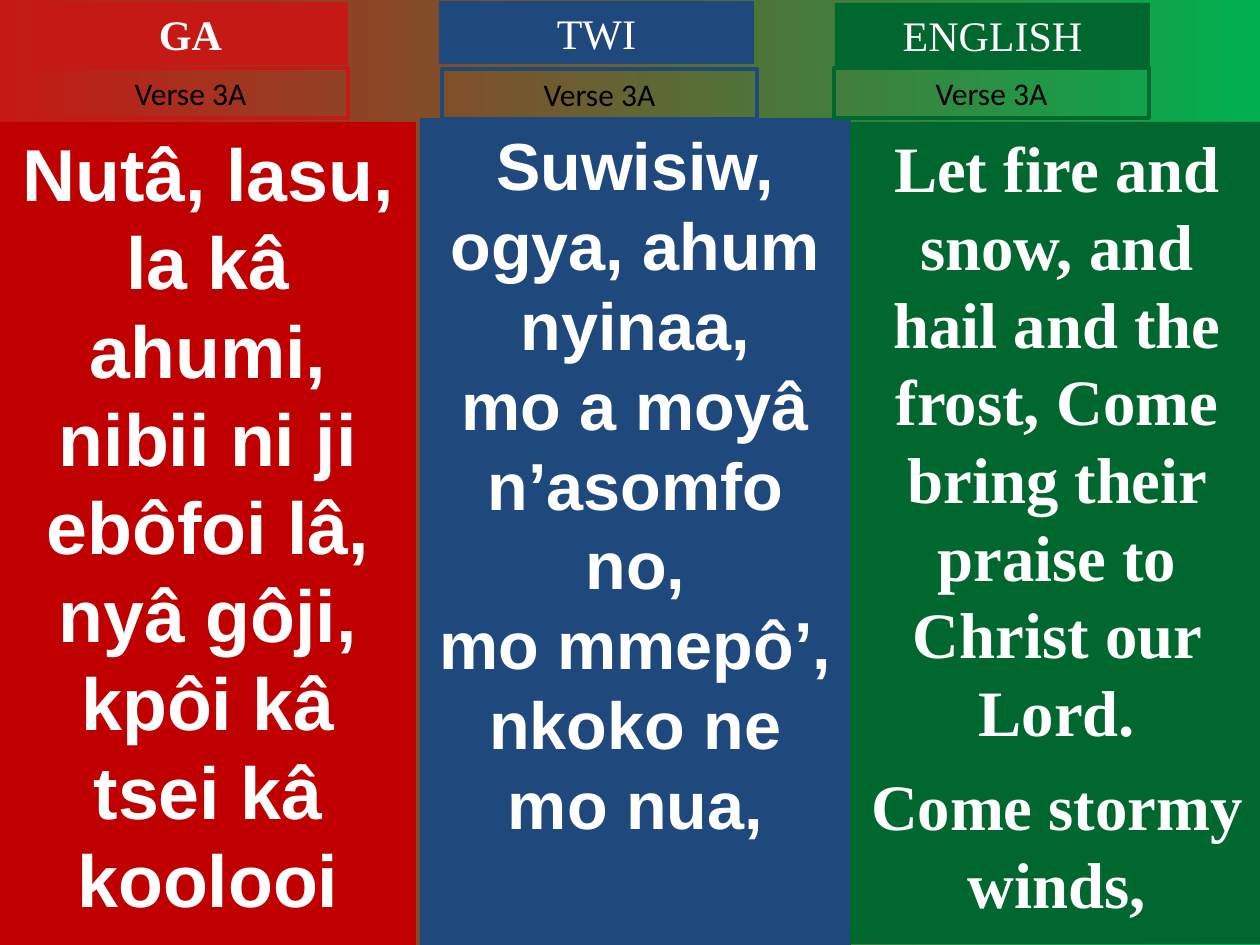
from dataclasses import dataclass

from pptx import Presentation
from pptx.dml.color import RGBColor
from pptx.enum.shapes import MSO_SHAPE
from pptx.enum.text import MSO_ANCHOR, PP_ALIGN
from pptx.util import Emu, Pt

RECTANGLE = MSO_SHAPE.RECTANGLE
TOP = MSO_ANCHOR.TOP
CENTER = PP_ALIGN.CENTER
EMU_PER_PX = 914400 / 126


def px(value):
    return Emu(round(value * EMU_PER_PX))


@dataclass(frozen=True)
class Theme:
    red: str = "C51915"
    dark_red: str = "C00000"
    blue: str = "1F497D"
    green: str = "00682F"
    bright_green: str = "00B050"
    white: str = "FFFFFF"
    black: str = "000000"
    sans: str = "Arial"
    serif: str = "Times New Roman"
    label: str = "Calibri"
    ga_size: int = 42
    twi_size: int = 38
    english_size: int = 37
    heading_size: int = 24
    label_size: int = 18
    outline: float = 2.25


class HymnSlide:
    def __init__(self, slide, theme):
        self.slide = slide
        self.theme = theme

    def background(self, start, end):
        fill = self.slide.background.fill
        fill.gradient()
        fill.gradient_angle = 0
        for stop, color, position in zip(fill.gradient_stops, (start, end), (0, 1)):
            stop.color.rgb = RGBColor.from_string(color)
            stop.position = position

    def box(self, bounds, lines, font_name, size, color,
            fill=None, outline=None, bold=False, gap=0):
        shape = self.slide.shapes.add_shape(RECTANGLE, *map(px, bounds))
        shape.shadow.inherit = False
        if fill:
            shape.fill.solid()
            shape.fill.fore_color.rgb = RGBColor.from_string(fill)
        else:
            shape.fill.background()
        if outline:
            shape.line.color.rgb = RGBColor.from_string(outline)
            shape.line.width = Pt(self.theme.outline)
        else:
            shape.line.fill.background()
        frame = shape.text_frame
        frame.word_wrap = True
        frame.vertical_anchor = TOP
        for index, line in enumerate(lines):
            paragraph = frame.paragraphs[0] if index == 0 else frame.add_paragraph()
            paragraph.text = line
            paragraph.alignment = CENTER
            paragraph.space_before = Pt(gap if index else 0)
            paragraph.font.name = font_name
            paragraph.font.size = Pt(size)
            paragraph.font.bold = bold
            paragraph.font.color.rgb = RGBColor.from_string(color)

    def verse(self, bounds, lines, font_name, size, fill, gap=0):
        self.box(bounds, lines, font_name, size, self.theme.white,
                 fill=fill, bold=True, gap=gap)

    def heading(self, left, top, text, fill, bold=False):
        self.box((left, top, 315, 63), [text], self.theme.serif,
                 self.theme.heading_size, self.theme.white, fill=fill, bold=bold)

    def verse_label(self, left, top, outline):
        self.box((left, top, 315, 50), ["Verse 3A"], self.theme.label,
                 self.theme.label_size, self.theme.black, outline=outline)


def main():
    presentation = Presentation()
    presentation.slide_width = px(1260)
    presentation.slide_height = px(945)
    theme = Theme()
    slide = presentation.slides.add_slide(presentation.slide_layouts[6])
    hymn = HymnSlide(slide, theme)
    hymn.background(theme.red, theme.bright_green)

    hymn.verse((0, 122, 416, 823), [
        "Nutâ, lasu, la kâ ahumi,",
        "nibii ni ji ebôfoi lâ,",
        "nyâ gôji, kpôi kâ tsei kâ koolooi",
    ], theme.sans, theme.ga_size, theme.dark_red)
    hymn.verse((420, 118, 431, 827), [
        "Suwisiw, ogya, ahum nyinaa,",
        "mo a moyâ n’asomfo no,",
        "mo mmepô’, nkoko ne mo nua,",
    ], theme.sans, theme.twi_size, theme.blue)
    hymn.verse((850, 122, 414, 822), [
        "Let fire and snow, and hail and the frost, "
        "Come bring their praise to Christ our Lord.",
        "Come stormy winds,",
    ], theme.serif, theme.english_size, theme.green, gap=9.2)

    hymn.heading(33, 2, "GA", theme.red, bold=True)
    hymn.heading(439, 1, "TWI", theme.blue)
    hymn.heading(835, 3, "ENGLISH", theme.green)
    hymn.verse_label(33, 68, theme.red)
    hymn.verse_label(442, 69, theme.blue)
    hymn.verse_label(834, 68, theme.green)

    presentation.save("out.pptx")


if __name__ == "__main__":
    main()
